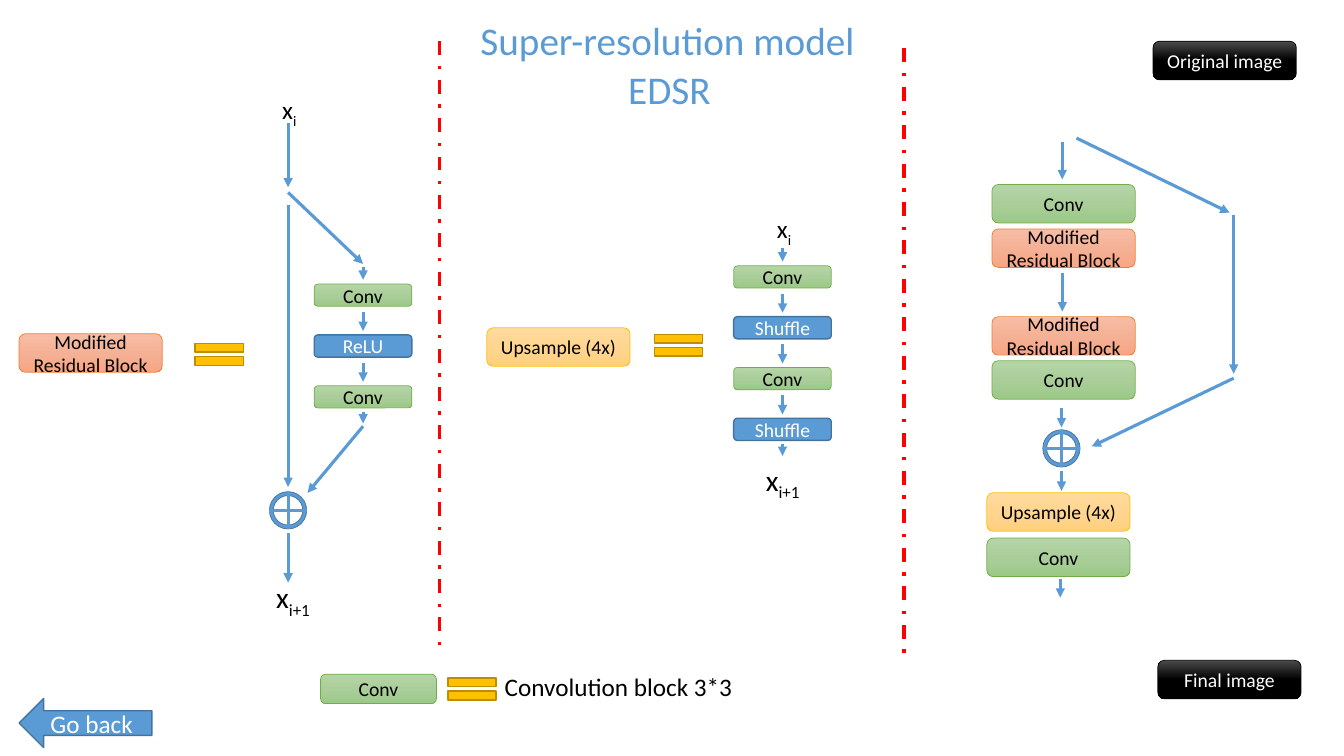
import copy

import pptx
import pptx.dml.color
import pptx.enum.dml
import pptx.enum.shapes
import pptx.enum.text
import pptx.oxml
import pptx.oxml.ns
import pptx.util

Cm = pptx.util.Cm
Pt = pptx.util.Pt
KIND = pptx.enum.shapes.MSO_SHAPE
ALIGN = pptx.enum.text.PP_ALIGN
qn = pptx.oxml.ns.qn

BLUE, EDGE, GOLD, RED = "5B9BD5", "43739E", "FFC000", "FF0000"
BLACK, WHITE = "000000", "FFFFFF"

# Box styles: fill stops, border, border width, text colour
STYLES = {
    "green": (("B5D5A7", "AACE9A", "9CC987"), "70AD47", 0.5, BLACK),
    "orange": (("F7BDA5", "F5B196", "F8A582"), "ED7D31", 0.5, BLACK),
    "yellow": (("FFDB9E", "FFD590", "FFD07C"), GOLD, 0.5, BLACK),
    "black": (("4B4B4B", BLACK, BLACK), BLACK, 0.5, WHITE),
    "blue": ((BLUE,), EDGE, 1, WHITE),
    "gold": ((GOLD,), "BD8E00", 1, BLACK),
    "ring": ((BLUE,), EDGE, 0.5, WHITE),
}
BIG = (3.61, 0.97)
SMALL = (2.46, 0.56)
STEP = 1.28


def paint(target, color):
    """Set a colour format from a hex string."""
    target.rgb = pptx.dml.color.RGBColor.from_string(color)


def add_run(para, text, size, color, sub=False):
    run = para.add_run()
    run.text = text
    run.font.name = "Calibri"
    run.font.size = Pt(size)
    paint(run.font.color, color)
    if sub:
        run._r.get_or_add_rPr().set("baseline", "-25000")


def shade(shape, stops):
    """Fill with one colour, or with three from top to bottom."""
    if len(stops) == 1:
        shape.fill.solid()
        paint(shape.fill.fore_color, stops[0])
        return
    shape.fill.gradient()
    shape.fill.gradient_angle = 270
    gs_list = shape._element.spPr.find(".//" + qn("a:gsLst"))
    gs_list.insert(1, copy.deepcopy(gs_list[0]))
    for i, (stop, color) in enumerate(zip(shape.fill.gradient_stops, stops)):
        stop.position = i / 2
        paint(stop.color, color)


def add_box(slide, x, y, size, style, text="", kind=KIND.ROUNDED_RECTANGLE,
            points=14):
    stops, edge, width, ink = STYLES[style]
    shape = slide.shapes.add_shape(kind, Cm(x), Cm(y), Cm(size[0]), Cm(size[1]))
    shape.shadow.inherit = False
    shade(shape, stops)
    paint(shape.line.color, edge)
    shape.line.width = Pt(width)
    if text:
        frame = shape.text_frame
        frame.vertical_anchor = pptx.enum.text.MSO_ANCHOR.MIDDLE
        frame.paragraphs[0].alignment = ALIGN.CENTER
        add_run(frame.paragraphs[0], text, points, ink)
    return shape


def add_line(slide, x1, y1, x2, y2, color=BLUE, width=2.25):
    line = slide.shapes.add_connector(
        pptx.enum.shapes.MSO_CONNECTOR.STRAIGHT, Cm(x1), Cm(y1), Cm(x2), Cm(y2))
    paint(line.line.color, color)
    line.line.width = Pt(width)
    props = line._element.spPr
    props.append(props.makeelement(qn("a:effectLst"), {}))
    return line


def add_arrow(slide, x1, y1, x2, y2):
    edge = add_line(slide, x1, y1, x2, y2).line._get_or_add_ln()
    edge.append(edge.makeelement(qn("a:tailEnd"), {"type": "triangle"}))


def add_split(slide, x, top):
    """Dashed line between two panels."""
    line = add_line(slide, x, top, x, top + 15.27, RED, 2.5)
    line.line.dash_style = pptx.enum.dml.MSO_LINE.DASH_DOT


def add_plus(slide, x, y):
    """Sum sign: a ring with a cross, centred on x, y."""
    r = 0.47
    ring = add_box(slide, x - r, y - r, (2 * r, 2 * r), "ring", kind=KIND.DONUT)
    ring.adjustments[0] = 0.104
    add_line(slide, x, y + r, x, y - r)
    add_line(slide, x - r, y, x + r, y)


def add_equal(slide, x, y):
    add_box(slide, x, y, (1.65, 0.94), "gold", kind=KIND.MATH_EQUAL)


def add_text(slide, x, y, w, h, text, size, color=BLACK, sub="", title=False):
    box = slide.shapes.add_textbox(Cm(x), Cm(y), Cm(w), Cm(h))
    frame = box.text_frame
    frame.word_wrap = title
    frame.auto_size = pptx.enum.text.MSO_AUTO_SIZE.SHAPE_TO_FIT_TEXT
    para = frame.paragraphs[0]
    if title:
        para.alignment = ALIGN.CENTER
    add_run(para, text, size, color)
    if sub:
        add_run(para, sub, size, color, sub=True)


def add_stack(slide, mid, top, names):
    """Column of small boxes with arrows before, between and after."""
    add_arrow(slide, mid, top - 0.44, mid, top - 0.11)
    for i, name in enumerate(names):
        y = top + i * STEP
        style = "green" if name == "Conv" else "blue"
        add_box(slide, mid - SMALL[0] / 2, y, SMALL, style, name)
        start, end = (0.7, 1.18) if i < len(names) - 1 else (0.65, 0.95)
        add_arrow(slide, mid, y + start, mid, y + end)


def draw_block(slide):
    """Left panel: the residual block."""
    main_x, side_x = 7.26, 9.15
    for y1, y2 in ((3.1, 4.72), (5.16, 12.27), (13.44, 14.68)):
        add_arrow(slide, main_x, y1, main_x, y2)
    add_arrow(slide, main_x, 4.85, side_x, 6.65)
    add_arrow(slide, side_x, 10.74, 7.75, 12.42)
    add_plus(slide, main_x, 12.86)
    add_stack(slide, side_x, 7.16, ("Conv", "ReLU", "Conv"))
    add_text(slide, 6.86, 2.26, 0.89, 1.02, "x", 18, sub="i")
    add_text(slide, 6.71, 14.48, 1.45, 1.14, "x", 21, sub="i+1")
    add_box(slide, 0.48, 8.41, BIG, "orange", "Modified Residual Block")
    add_equal(slide, 4.7, 8.46)


def draw_scale(slide):
    """Middle panel: the upsample block."""
    add_box(slide, 12.27, 8.26, BIG, "yellow", "Upsample (4x)")
    add_equal(slide, 16.28, 8.23)
    add_stack(slide, 19.72, 6.7, ("Conv", "Shuffle") * 2)
    add_text(slide, 19.33, 5.26, 0.89, 1.02, "x", 18, sub="i")
    add_text(slide, 19.05, 11.51, 1.45, 1.14, "x", 21, sub="i+1")


def draw_model(slide):
    """Right panel: the whole model."""
    for x, y, style, name in (
            (25, 4.65, "green", "Conv"),
            (25, 5.77, "orange", "Modified Residual Block"),
            (25, 9.09, "green", "Conv"),
            (25, 7.98, "orange", "Modified Residual Block"),
            (24.87, 12.42, "yellow", "Upsample (4x)"),
            (24.87, 13.56, "green", "Conv"),
            (29.06, 1.04, "black", "Original image"),
            (29.18, 16.64, "black", "Final image")):
        add_box(slide, x, y, BIG, style, name)
    for x, y1, y2 in ((26.77, 3.58, 4.52), (26.77, 6.88, 7.85),
                      (26.75, 10.29, 10.77), (26.75, 11.86, 12.37),
                      (26.72, 14.58, 15.06)):
        add_arrow(slide, x, y1, x, y2)
    add_plus(slide, 26.75, 11.3)
    # Skip path
    add_arrow(slide, 27.13, 3.48, 30.99, 5.36)
    add_arrow(slide, 31.09, 5.41, 31.09, 9.42)
    add_arrow(slide, 31.09, 9.53, 27.51, 11.25)


def main():
    deck = pptx.Presentation()
    deck.slide_width, deck.slide_height = Cm(33.87), Cm(19.05)
    slide = deck.slides.add_slide(deck.slide_layouts[6])
    draw_block(slide)
    draw_scale(slide)
    draw_model(slide)
    add_split(slide, 11.07, 1.04)
    add_split(slide, 22.78, 1.22)
    # Legend
    add_box(slide, 8.08, 16.99, (2.92, 0.74), "green", "Conv")
    add_equal(slide, 11.07, 16.89)
    add_text(slide, 12.47, 16.79, 6.32, 1.02, "Convolution block 3*3", 18)
    # Title and back button
    add_text(slide, 11.79, 0.28, 10.06, 1.45, "Super-resolution model", 28,
             BLUE, title=True)
    add_text(slide, 11.84, 1.52, 10.06, 1.45, "EDSR", 28, BLUE, title=True)
    add_box(slide, 0.48, 17.6, (3.35, 1.24), "blue", "Go back",
            KIND.LEFT_ARROW, 18)
    deck.save("out.pptx")


if __name__ == "__main__":
    main()
